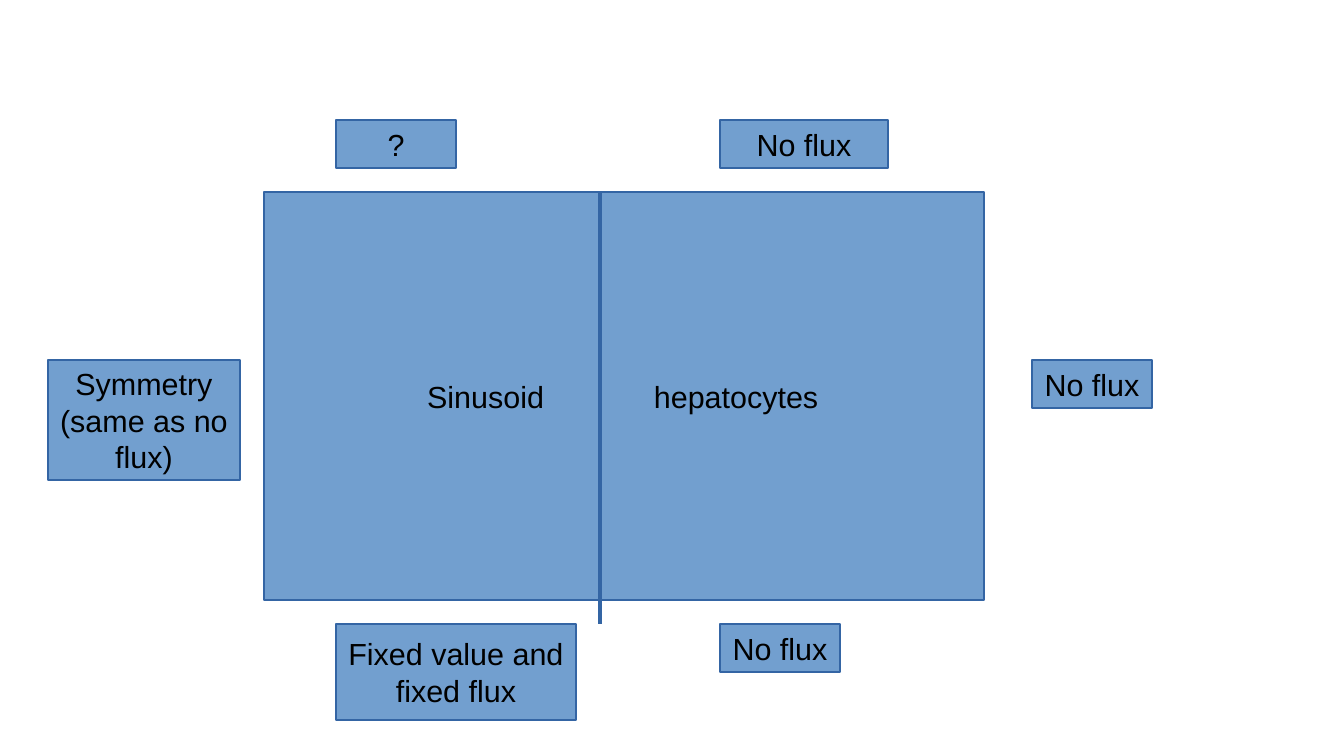
from pptx import Presentation
from pptx.dml.color import RGBColor
from pptx.enum.shapes import MSO_CONNECTOR, MSO_SHAPE
from pptx.enum.text import MSO_ANCHOR, PP_ALIGN
from pptx.oxml.ns import qn
from pptx.util import Cm, Inches, Pt
from lxml import etree

RECT = MSO_SHAPE.RECTANGLE
LINE = MSO_CONNECTOR.STRAIGHT
MID = MSO_ANCHOR.MIDDLE
LEFT, MIDDLE = PP_ALIGN.LEFT, PP_ALIGN.CENTER

COLS, ROWS = 56, 31.5
UNIT = Cm(0.5)

THEME = {
    "fill": RGBColor.from_string("729FCF"),
    "line": RGBColor.from_string("3465A4"),
    "text": RGBColor.from_string("000000"),
    "font": {"name": "Arial", "size": Pt(18)},
    "frame": {
        "word_wrap": True, "vertical_anchor": MID,
        "margin_left": Inches(0.1), "margin_right": Inches(0.1),
        "margin_top": Inches(0.05), "margin_bottom": Inches(0.05),
    },
}

TISSUE = ("\tSinusoid\thepatocytes", 11, 8, 30, 17)
STOPS = (1.24, 3.1)
WALL = (25, 8, 25, 26)
BOUNDS = [
    ("?", 14, 5, 5, 2),
    ("No flux", 30, 5, 7, 2),
    ("No flux", 43, 15, 5, 2),
    ("No flux", 30, 26, 5, 2),
    ("Symmetry\n(same as no flux)", 2, 15, 8, 5),
    ("Fixed value and fixed flux", 14, 26, 10, 4),
]


def apply(item, values):
    for name, value in values.items():
        setattr(item, name, value)


def scale(cells):
    return [round(cell * UNIT) for cell in cells]


def stroke(item):
    item.line.color.rgb = THEME["line"]
    item.line.width = Pt(0)


def add_box(slide, text, *cells, align=MIDDLE):
    box = slide.shapes.add_shape(RECT, *scale(cells))
    box.shadow.inherit = False
    box.fill.solid()
    box.fill.fore_color.rgb = THEME["fill"]
    stroke(box)
    frame = box.text_frame
    apply(frame, THEME["frame"])
    frame.text = text
    for para in frame.paragraphs:
        para.alignment = align
        for run in para.runs:
            apply(run.font, THEME["font"])
            run.font.color.rgb = THEME["text"]
    return box


def add_tabs(para, stops):
    tabs = etree.SubElement(para._p.get_or_add_pPr(), qn("a:tabLst"))
    for stop in stops:
        etree.SubElement(tabs, qn("a:tab"), pos=str(Inches(stop)), algn="l")


def add_wall(slide, cells):
    wall = slide.shapes.add_connector(LINE, *scale(cells))
    stroke(wall)
    etree.SubElement(wall._element.spPr, qn("a:effectLst"))


deck = Presentation()
apply(deck, {"slide_width": round(COLS * UNIT), "slide_height": round(ROWS * UNIT)})
slide = deck.slides.add_slide(deck.slide_layouts[6])

tissue = add_box(slide, *TISSUE, align=LEFT)
add_tabs(tissue.text_frame.paragraphs[0], STOPS)
add_wall(slide, WALL)
for bound in BOUNDS:
    add_box(slide, *bound)

deck.save("out.pptx")
